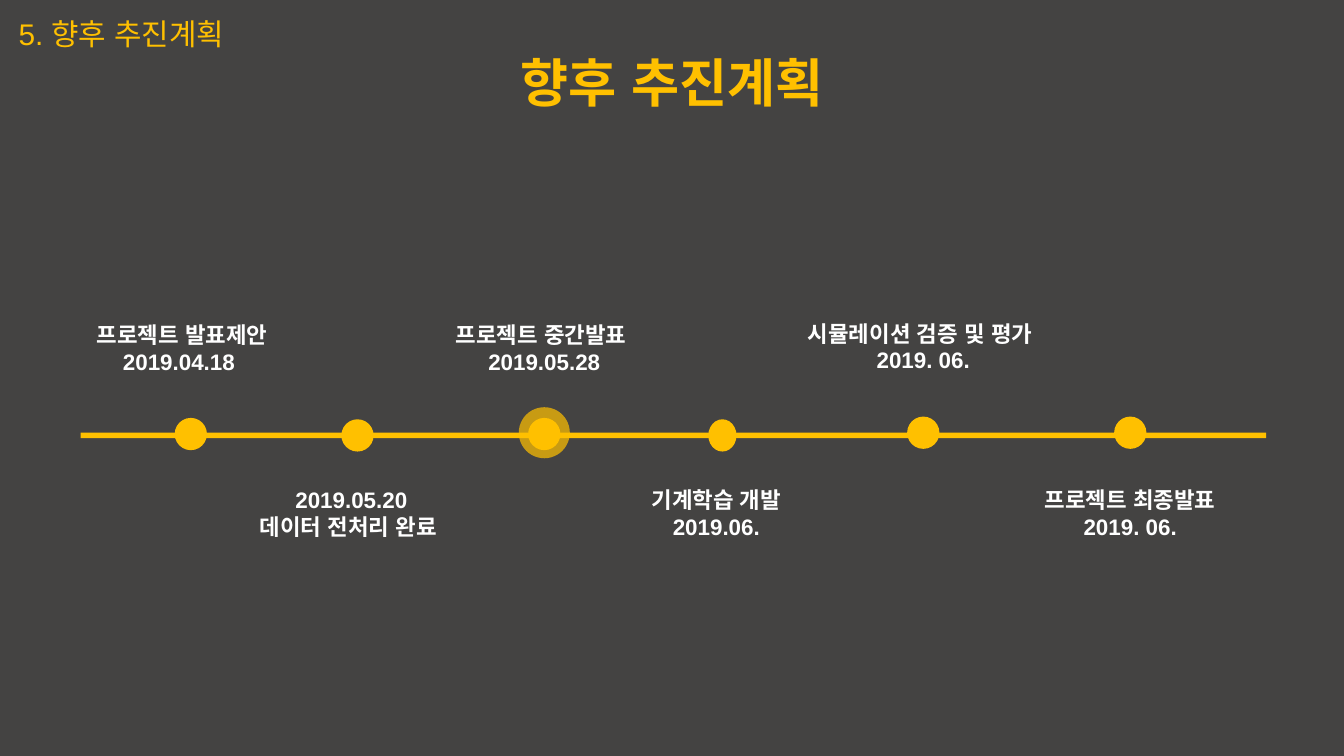
from lxml import etree
from pptx import Presentation
from pptx.dml.color import RGBColor
from pptx.enum.shapes import MSO_SHAPE as SHAPE
from pptx.enum.text import MSO_ANCHOR as ANCHOR, PP_ALIGN as ALIGN
from pptx.oxml.ns import qn
from pptx.util import Inches, Pt

C = {"bg": "444342", "gold": "FFC000", "white": "FFFFFF"}


def add_text(box, lines, size, color, bold=True, align=ALIGN.CENTER, anchor=ANCHOR.TOP):
    tf = s.shapes.add_textbox(*[Inches(v) for v in box]).text_frame
    tf.word_wrap = True
    tf.vertical_anchor = anchor
    for i, line in enumerate(lines):
        p = tf.paragraphs[0] if i == 0 else tf.add_paragraph()
        p.alignment = align
        r = p.add_run()
        r.text = line
        r.font.name = "Arial"
        r.font.size = Pt(size)
        r.font.bold = bold
        r.font.color.rgb = RGBColor.from_string(C[color])
        ea = etree.SubElement(r.font._element, qn("a:ea"))
        ea.set("typeface", "Arial")


def add_gold(shapes, kind, *box):
    sp = shapes.add_shape(kind, *[Inches(v) for v in box])
    sp.shadow.inherit = False
    sp.fill.solid()
    sp.fill.fore_color.rgb = RGBColor.from_string(C["gold"])
    sp.line.fill.background()
    return sp


prs = Presentation()
prs.slide_width = Inches(10)
prs.slide_height = prs.slide_width * 9 // 16
s = prs.slides.add_slide(prs.slide_layouts[6])
s.background.fill.solid()
s.background.fill.fore_color.rgb = RGBColor.from_string(C["bg"])

add_text((0, 0.29, 10, 0.63), ["향후 추진계획"], 28, "gold", anchor=ANCHOR.MIDDLE)
add_text((0.04, 0.07, 2.76, 0.37), ["5. 향후 추진계획"], 16, "gold", False, ALIGN.LEFT)

add_gold(s.shapes, SHAPE.RECTANGLE, 0.6, 3.22, 8.82, 0.04)

current = s.shapes.add_group_shape()
halo = add_gold(current.shapes, SHAPE.OVAL, 3.86, 3.03, 0.38, 0.38)
color = halo.fill._xPr.find(qn("a:solidFill"))[0]
etree.SubElement(color, qn("a:alpha")).set("val", "71000")
add_gold(current.shapes, SHAPE.OVAL, 3.93, 3.11, 0.24, 0.24)

for x, y, w in [(1.3, 3.11, 0.24), (2.54, 3.12, 0.24), (5.27, 3.12, 0.21),
                (6.75, 3.1, 0.24), (8.29, 3.1, 0.24)]:
    add_gold(s.shapes, SHAPE.OVAL, x, y, w, 0.24)

milestones = [
    (-0.28, 2.34, 3.27, 0.5, ["프로젝트 발표제안", "2019.04.18 "]),
    (0.86, 3.57, 3.51, 0.91, ["2019.05.20", "데이터 전처리 완료 "]),
    (2.39, 2.34, 3.32, 0.71, ["프로젝트 중간발표 ", "2019.05.28"]),
    (3.82, 3.57, 3.02, 0.5, ["기계학습 개발", "2019.06."]),
    (5.32, 2.33, 3.1, 0.5, ["시뮬레이션 검증 및 평가 ", "2019. 06."]),
    (6.86, 3.57, 3.1, 0.5, ["프로젝트 최종발표", "2019. 06."]),
]
for *box, lines in milestones:
    add_text(box, lines, 12, "white")

prs.save("out.pptx")
